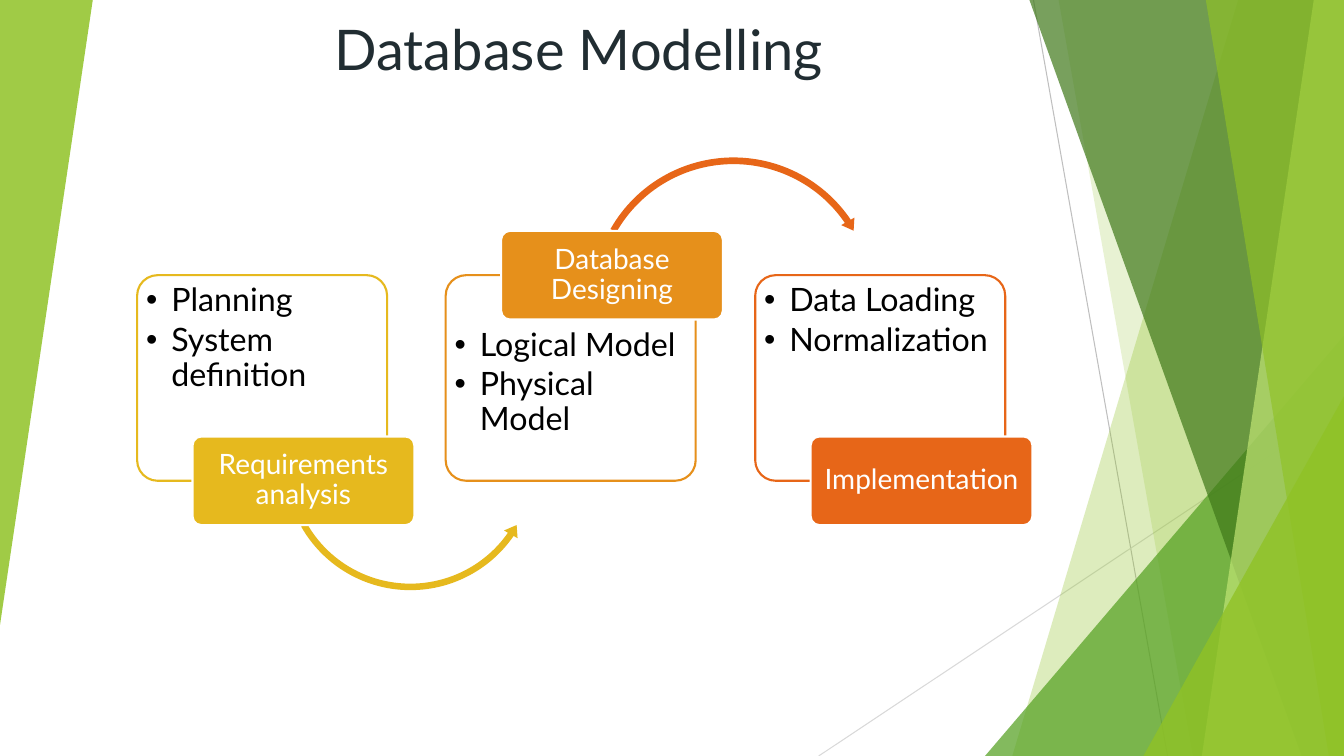
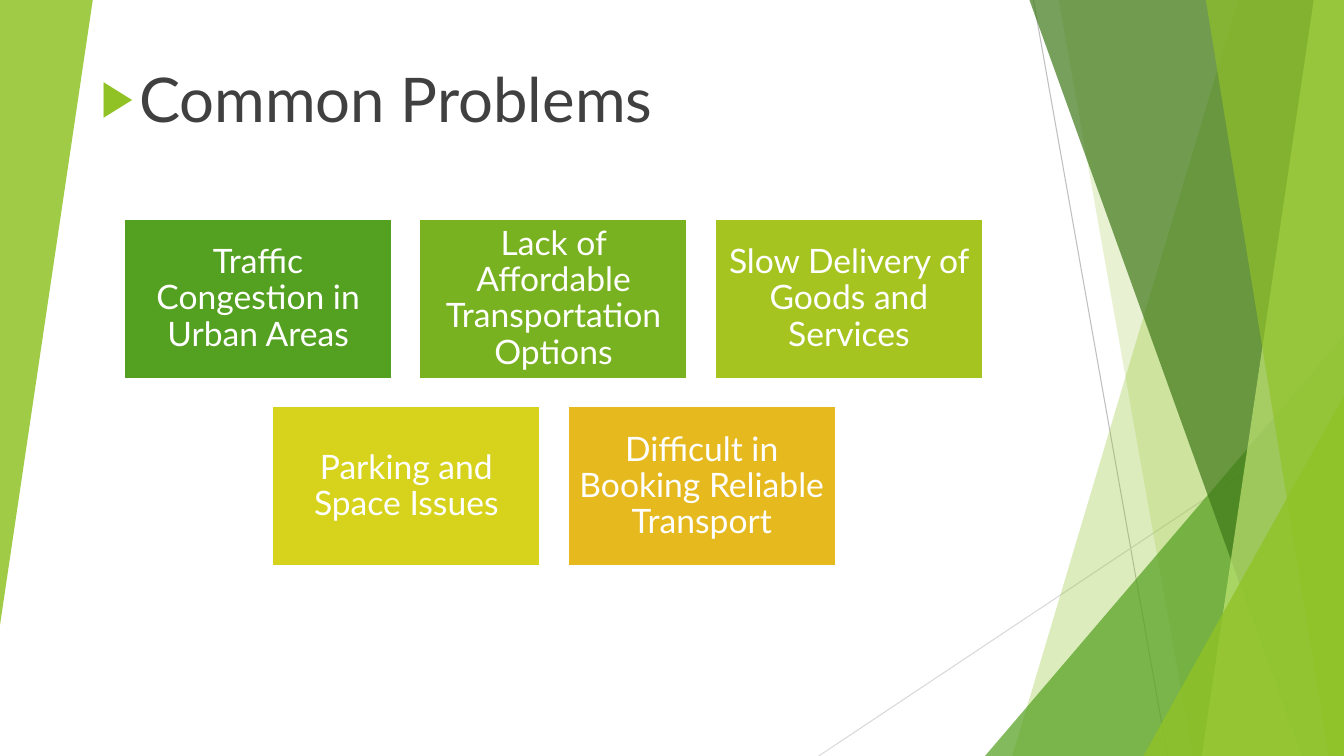
from lxml.etree import SubElement
from pptx import Presentation
from pptx.dml.color import RGBColor
from pptx.enum.shapes import MSO_CONNECTOR, MSO_SHAPE
from pptx.enum.text import MSO_ANCHOR, MSO_AUTO_SIZE, PP_ALIGN
from pptx.oxml.ns import qn
from pptx.util import Pt

PX = 9144
WIDTH, HEIGHT = 1333, 750
FONT = "Lato"
COLORS = {
    "white": "FFFFFF", "black": "000000", "ink": "212D32", "charcoal": "404040",
    "silver": "BFBFBF", "mist": "D9D9D9", "lime": "90C226", "pale": "C0E474",
    "forest": "3F7819", "green": "54A021", "leaf": "79B220", "olive": "A5C41F",
    "yellow": "D7D31D", "gold": "E6B91E", "amber": "E6901B", "orange": "E76618",
}


class Deck:
    def __init__(self):
        self.prs = Presentation()
        self.prs.slide_width = WIDTH * PX
        self.prs.slide_height = HEIGHT * PX
        self.slide = None

    def new_slide(self):
        self.slide = self.prs.slides.add_slide(self.prs.slide_layouts[5])
        self.backdrop()

    def rgb(self, name):
        return RGBColor.from_string(COLORS[name])

    def paint(self, shape, fill, alpha=100, line=None):
        shape.shadow.inherit = False
        shape.fill.solid()
        shape.fill.fore_color.rgb = self.rgb(fill)
        if alpha < 100:
            color = shape.fill._xPr.find(qn("a:solidFill"))[0]
            SubElement(color, qn("a:alpha"), val=str(alpha * 1000))
        if line:
            shape.line.color.rgb = self.rgb(line)
            shape.line.width = Pt(1.5)
        else:
            shape.line.fill.background()

    def shape(self, kind, box, fill, alpha=100, line=None, adjust=()):
        shape = self.slide.shapes.add_shape(kind, *(v * PX for v in box))
        for i, value in enumerate(adjust):
            shape.adjustments[i] = value
        self.paint(shape, fill, alpha, line)
        return shape

    def line(self, start, end, color):
        line = self.slide.shapes.add_connector(
            MSO_CONNECTOR.STRAIGHT, *(v * PX for v in start + end))
        line.line.color.rgb = self.rgb(color)
        line.line.width = Pt(0.75)
        SubElement(line._element.spPr, qn("a:effectLst"))

    def shard(self, top, bottom, fill, alpha):
        builder = self.slide.shapes.build_freeform(top, 0, scale=PX)
        builder.add_line_segments([(WIDTH, 0), (WIDTH, HEIGHT), (bottom, HEIGHT)])
        self.paint(builder.convert_to_shape(), fill, alpha)

    def wedge(self, box, fill, alpha, rotation=0):
        wedge = self.shape(MSO_SHAPE.ISOSCELES_TRIANGLE, box, fill, alpha, adjust=[1])
        wedge.rotation = rotation

    def backdrop(self):
        self.line((1025, 0), (1158, 750), "silver")
        self.line((1333, 403), (812, 750), "mist")
        self.shard(1228, 1004, "lime", 30)
        self.shard(1050, 1183, "lime", 20)
        self.wedge((977, 333, 356, 417), "green", 72)
        self.shard(1021, 1291, "forest", 70)
        self.shard(1303, 1192, "pale", 70)
        self.shard(1196, 1318, "lime", 65)
        self.wedge((1134, 393, 199, 357), "lime", 80)
        self.wedge((0, 0, 92, 620), "lime", 85, rotation=180)

    def frame(self, shape, anchor, margins):
        frame = shape.text_frame
        frame.word_wrap = True
        frame.auto_size = MSO_AUTO_SIZE.NONE
        frame.vertical_anchor = anchor
        (frame.margin_left, frame.margin_top,
         frame.margin_right, frame.margin_bottom) = (v * PX for v in margins)
        return frame

    def run(self, paragraph, text, size, color):
        run = paragraph.add_run()
        run.text = text
        run.font.name = FONT
        run.font.size = Pt(size)
        run.font.color.rgb = self.rgb(color)

    def bullet(self, paragraph, char, indent, color=None, percent=100):
        props = paragraph._p.get_or_add_pPr()
        props.set("marL", str(indent * PX))
        props.set("indent", str(-indent * PX))
        if color:
            SubElement(SubElement(props, qn("a:buClr")), qn("a:srgbClr"), val=COLORS[color])
        SubElement(props, qn("a:buSzPct"), val=str(percent * 1000))
        SubElement(props, qn("a:buFont"), typeface="Arial")
        SubElement(props, qn("a:buChar"), char=char)

    def title(self, text, box, size, color, anchor, align):
        title = self.slide.shapes.title
        title.left, title.top, title.width, title.height = (v * PX for v in box)
        paragraph = self.frame(title, anchor, (10, 5, 10, 5)).paragraphs[0]
        paragraph.alignment = align
        self.run(paragraph, text, size, color)
        return paragraph

    def caption(self, shape, text, size, margins):
        paragraph = self.frame(shape, MSO_ANCHOR.MIDDLE, margins).paragraphs[0]
        paragraph.alignment = PP_ALIGN.CENTER
        paragraph.line_spacing = 0.9
        paragraph.space_after = Pt(size * 0.35)
        self.run(paragraph, text, size, "white")

    def card(self, box, color, items, top_margin):
        card = self.shape(MSO_SHAPE.ROUNDED_RECTANGLE, box, "white", 90, color, [0.1])
        frame = self.frame(card, MSO_ANCHOR.TOP, (3, top_margin, 5, 3))
        for i, item in enumerate(items):
            paragraph = frame.add_paragraph() if i else frame.paragraphs[0]
            paragraph.alignment = PP_ALIGN.LEFT
            paragraph.line_spacing = 0.9
            paragraph.space_after = Pt(3.5)
            self.bullet(paragraph, "•", 25)
            self.run(paragraph, item, 23, "black")

    def label(self, box, color, text):
        label = self.shape(MSO_SHAPE.ROUNDED_RECTANGLE, box, color, line="white", adjust=[0.1])
        self.caption(label, text, 20, (4, 3, 4, 3))

    def arc(self, kind, box, color, thickness, angles, head):
        turns = [angle * 0.6 for angle in angles]
        self.shape(kind, box, color, adjust=[thickness, *turns, head])

    def tile(self, box, color, text):
        tile = self.shape(MSO_SHAPE.RECTANGLE, box, color, line="white")
        self.caption(tile, text, 24, (10, 10, 10, 10))


def modelling_slide(deck):
    deck.new_slide()
    deck.title("Database Modelling", (124, 34, 900, 52), 40, "ink",
               MSO_ANCHOR.BOTTOM, PP_ALIGN.CENTER)
    stages = [
        ("Requirements analysis", "gold", ["Planning", "System definition"], False,
         (MSO_SHAPE.LEFT_CIRCULAR_ARROW, (278, 332, 258, 258), "gold",
          0.025, (5.16, 34.75, 150.41), 0.03)),
        ("Database Designing", "amber", ["Logical Model", "Physical Model"], True,
         (MSO_SHAPE.CIRCULAR_ARROW, (583, 152, 289, 289), "orange",
          0.023, (4.56, 325.85, 209.59), 0.026)),
        ("Implementation", "orange", ["Data Loading", "Normalization"], False, None),
    ]
    for i, (name, color, items, label_on_top, arrow) in enumerate(stages):
        left = 136 + i * 613 // 2
        deck.card((left, 273, 248, 204), color, items, 47 if label_on_top else 3)
        if arrow:
            deck.arc(*arrow)
        deck.label((left + 55, 229 if label_on_top else 433, 220, 88), color, name)


def problems_slide(deck):
    deck.new_slide()
    heading = deck.title("Common Problems", (90, 55, 1154, 88), 44, "charcoal",
                         MSO_ANCHOR.TOP, PP_ALIGN.LEFT)
    heading.space_before = Pt(10)
    deck.bullet(heading, "▶", 38, "lime", 80)
    rows = [
        [("Traffic Congestion in Urban Areas", "green"),
         ("Lack of Affordable Transportation Options", "leaf"),
         ("Slow Delivery of Goods and Services", "olive")],
        [("Parking and Space Issues", "yellow"),
         ("Difficult in Booking Reliable Transport", "gold")],
    ]
    width, height, gap, center = 266, 159, 27, 549
    for r, row in enumerate(rows):
        left = center - (len(row) * (width + gap) - gap) // 2
        for c, (problem, color) in enumerate(row):
            deck.tile((left + c * (width + gap), 217 + r * (height + gap), width, height),
                      color, problem)


def main():
    deck = Deck()
    modelling_slide(deck)
    problems_slide(deck)
    deck.prs.save("out.pptx")


if __name__ == "__main__":
    main()
